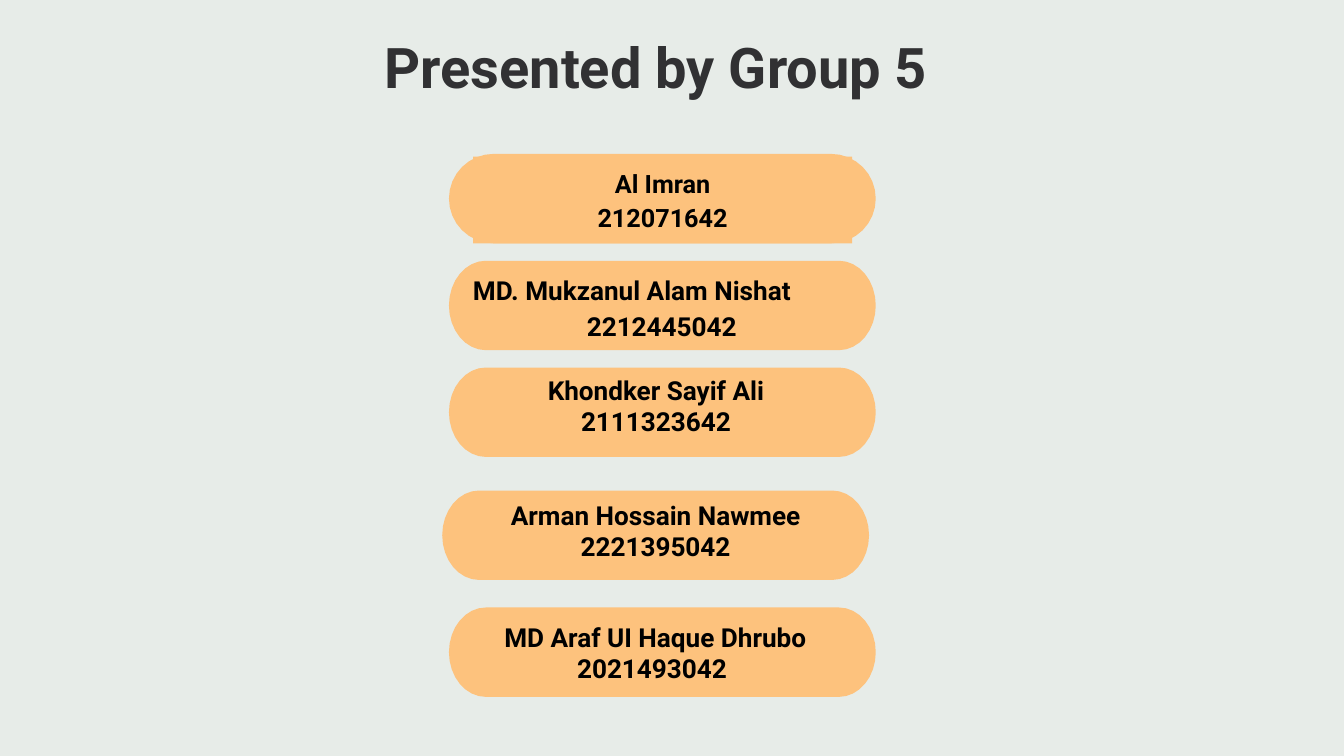
from math import cos, pi, sin

from pptx import Presentation
from pptx.dml.color import RGBColor
from pptx.enum.shapes import MSO_SHAPE
from pptx.enum.text import MSO_ANCHOR, PP_ALIGN
from pptx.util import Pt

COLORS = {"background": "E7ECE8", "pill": "FDC27D", "title": "313133", "member": "000000"}
PILL_WIDTH, PILL_HEIGHT = 457.3, 95.8
ARC_STEPS = 16

deck = Presentation()
deck.slide_width, deck.slide_height = Pt(1440), Pt(810)
slide = deck.slides.add_slide(deck.slide_layouts[6])


def paint(shape, color):
    shape.fill.solid()
    shape.fill.fore_color.rgb = RGBColor.from_string(COLORS[color])
    shape.line.fill.background()
    shape.shadow.inherit = False


def write(shape, text, size=28, color="member", inset=7.2, top=7.2,
          spacing=1.0, align=PP_ALIGN.CENTER, indents=(0,)):
    """Fill a shape with text; one paragraph for each indent."""
    frame = shape.text_frame
    frame.word_wrap = True
    frame.vertical_anchor = MSO_ANCHOR.TOP
    frame.margin_left = frame.margin_right = frame.margin_bottom = Pt(inset)
    frame.margin_top = Pt(top)
    lines = text.split("\n") if len(indents) > 1 else [text]
    for number, (line, indent) in enumerate(zip(lines, indents)):
        paragraph = frame.add_paragraph() if number else frame.paragraphs[0]
        paragraph.alignment = align
        paragraph.line_spacing = spacing
        if indent:
            paragraph._p.get_or_add_pPr().set("marL", str(Pt(indent)))
        paragraph.text = line.replace("\n", "\v")
        for run in paragraph.runs:
            run.font.name = "Roboto"
            run.font.size = Pt(size)
            run.font.bold = True
            run.font.color.rgb = RGBColor.from_string(COLORS[color])


# Background
background = slide.shapes.add_shape(
    MSO_SHAPE.RECTANGLE, 0, 0, deck.slide_width, deck.slide_height)
paint(background, "background")

# Pills with elliptical ends: left, top, horizontal end radius
pills = [(481, 164.9, 47.9), (481, 279.4, 39.5), (481, 393.8, 39.5),
         (473.8, 525.6, 39.5), (481, 650.9, 39.5)]
for left, top, end_radius in pills:
    half = PILL_HEIGHT / 2
    outline = []
    for center, start in ((left + PILL_WIDTH - end_radius, -pi / 2),
                          (left + end_radius, pi / 2)):
        for step in range(ARC_STEPS + 1):
            angle = start + pi * step / ARC_STEPS
            outline.append((Pt(center + end_radius * cos(angle)),
                            Pt(top + half + half * sin(angle))))
    builder = slide.shapes.build_freeform(*outline[0])
    builder.add_line_segments(outline[1:], close=True)
    paint(builder.convert_to_shape(), "pill")

# Title
title = slide.shapes.add_textbox(Pt(360), Pt(33.8), Pt(685.4), Pt(74.2))
write(title, "Presented by Group 5", size=60, color="title", inset=0, top=1.4)

# First member, on a plain panel
first_member = slide.shapes.add_shape(
    MSO_SHAPE.RECTANGLE, Pt(506.9), Pt(167.8), Pt(406.1), Pt(92.9))
paint(first_member, "pill")
write(first_member, "Al Imran\n212071642", size=27, spacing=1.15)

# Other members: text, left, top, width, format
members = [
    ("MD. Mukzanul Alam Nishat\n2212445042", 499.7, 281.5, 457.9,
     {"spacing": 1.16, "align": PP_ALIGN.LEFT, "indents": (0, 122)}),
    ("Khondker Sayif Ali\n2111323642", 499.7, 393.8, 406.1, {}),
    ("Arman Hossain Nawmee\n2221395042", 514.8, 527.8, 375.1, {}),
    ("MD Araf UI Haque Dhrubo\n2021493042 ", 506.9, 658.1, 390.2, {}),
]
for text, left, top, width, style in members:
    member = slide.shapes.add_textbox(Pt(left), Pt(top), Pt(width), Pt(92.9))
    write(member, text, **style)

deck.save("out.pptx")
